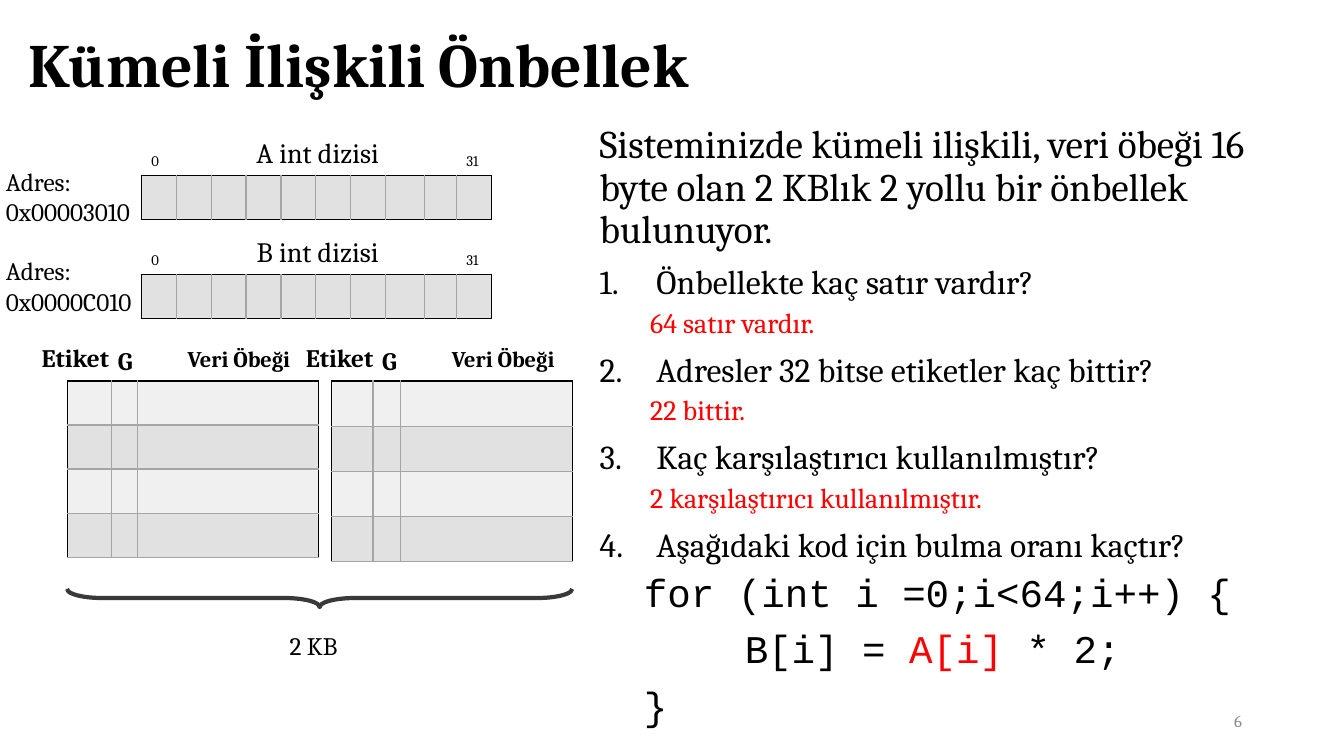
from dataclasses import dataclass

from lxml.etree import SubElement
from pptx import Presentation
from pptx.dml.color import RGBColor
from pptx.enum.shapes import MSO_SHAPE
from pptx.enum.text import MSO_ANCHOR, MSO_AUTO_SIZE, PP_ALIGN
from pptx.oxml.ns import qn
from pptx.util import Cm, Pt


@dataclass(frozen=True)
class Theme:
    font: str = "Cambria"
    code_font: str = "Courier New"
    ink: str = "000000"
    answer: str = "FF0000"
    muted: str = "8C8C8C"
    grid: str = "A5A5A5"
    brace: str = "3B3838"
    paper: str = "FFFFFF"
    light_row: str = "F0F0F0"
    dark_row: str = "E1E1E1"
    title: float = 44
    lead: float = 28
    question: float = 24
    answer_size: float = 20
    label: float = 18
    small_label: float = 16
    page: float = 12
    index: float = 10.5


THEME = Theme()
ARRAY_COLUMNS = [0.88] * 7 + [0.97, 0.81, 0.88]
QUESTIONS = [
    ("Önbellekte kaç satır vardır?", "64 satır vardır."),
    ("Adresler 32 bitse etiketler kaç bittir?", "22 bittir."),
    ("Kaç karşılaştırıcı kullanılmıştır?", "2 karşılaştırıcı kullanılmıştır."),
    ("Aşağıdaki kod için bulma oranı kaçtır?", None),
]


def color(name):
    return RGBColor.from_string(name)


def style(paragraph, size, ink=THEME.ink, bold=False, font=THEME.font, align=PP_ALIGN.LEFT):
    paragraph.alignment = align
    paragraph.font.name = font
    paragraph.font.size = Pt(size)
    paragraph.font.bold = bold
    paragraph.font.color.rgb = color(ink)


def place(shape, box):
    shape.left, shape.top, shape.width, shape.height = map(Cm, box)


def add_label(slide, box, text, size, **look):
    shape = slide.shapes.add_textbox(*map(Cm, box))
    frame = shape.text_frame
    frame.word_wrap = True
    frame.text = text
    style(frame.paragraphs[0], size, **look)
    return frame


def add_grid(slide, left, top, columns, rows, row_height):
    frame = slide.shapes.add_table(rows, len(columns), Cm(left), Cm(top),
                                   Cm(sum(columns)), Cm(row_height * rows))
    table = frame.table
    table.first_row = table.horz_banding = False
    for column, width in zip(table.columns, columns):
        column.width = Cm(width)
    return table


def paint_cell(cell, fill, **borders):
    """Borders are given as L, R, T, B colours; they precede the fill."""
    properties = cell._tc.get_or_add_tcPr()
    for side in "LRTB":
        if side in borders:
            line = SubElement(properties, qn(f"a:ln{side}"), w=str(Pt(1)))
            solid = SubElement(line, qn("a:solidFill"))
            SubElement(solid, qn("a:srgbClr"), val=borders[side])
    cell.fill.solid()
    cell.fill.fore_color.rgb = color(fill)


def side_borders(column, count):
    return {"L": THEME.ink if column == 0 else THEME.grid,
            "R": THEME.ink if column == count - 1 else THEME.grid}


# Title
def draw_title(slide, box):
    title = slide.shapes.title
    place(title, box)
    frame = title.text_frame
    frame.text = "Kümeli İlişkili Önbellek"
    frame.auto_size = MSO_AUTO_SIZE.NONE
    frame.vertical_anchor = MSO_ANCHOR.MIDDLE
    frame.paragraphs[0].line_spacing = 0.9
    style(frame.paragraphs[0], THEME.title, bold=True)


# Questions with answers
def add_body_line(paragraph, text, size, before, margin=0, hanging=0, ink=THEME.ink):
    paragraph.text = text
    properties = paragraph._p.get_or_add_pPr()
    properties.set("marL", str(Cm(margin)))
    properties.set("indent", str(-Cm(hanging)))
    if hanging:
        SubElement(properties, qn("a:buFont"), typeface="+mj-lt")
        SubElement(properties, qn("a:buAutoNum"), type="arabicPeriod")
    else:
        SubElement(properties, qn("a:buNone"))
    paragraph.line_spacing = 0.9
    paragraph.space_before = Pt(before)
    style(paragraph, size, ink)


def draw_questions(slide, box):
    body = slide.placeholders[1]
    place(body, box)
    frame = body.text_frame
    frame.auto_size = MSO_AUTO_SIZE.NONE
    add_body_line(frame.paragraphs[0], "Sisteminizde kümeli ilişkili, veri öbeği 16 byte olan "
                  "2 KBlık 2 yollu bir önbellek bulunuyor.", THEME.lead, 0)
    for question, answer in QUESTIONS:
        add_body_line(frame.add_paragraph(), question, THEME.question, 10, 1.43, 1.43)
        if answer:
            paragraph = frame.add_paragraph()
            paragraph.level = 1
            add_body_line(paragraph, answer, THEME.answer_size, 5, 1.27, ink=THEME.answer)


# Array strip with its address
def draw_array(slide, left, top, name, address, address_drop):
    table = add_grid(slide, left, top, ARRAY_COLUMNS, 2, 1.12)
    count = len(ARRAY_COLUMNS)
    for column in range(count):
        paint_cell(table.cell(0, column), THEME.paper, B=THEME.ink)
        paint_cell(table.cell(1, column), THEME.dark_row, T=THEME.ink, B=THEME.ink,
                   **side_borders(column, count))
    table.cell(0, 2).merge(table.cell(0, 7))
    for column, text, size, align in [
        (0, "0", THEME.index, PP_ALIGN.LEFT),
        (2, f"{name} int dizisi", THEME.answer_size, PP_ALIGN.CENTER),
        (count - 1, "31", THEME.index, PP_ALIGN.LEFT),
    ]:
        cell = table.cell(0, column)
        cell.text = text
        cell.vertical_anchor = MSO_ANCHOR.BOTTOM
        style(cell.text_frame.paragraphs[0], size, align=align)
    add_label(slide, (left - 3.66, top + address_drop, 4.06, 1.8),
              f"Adres: {address}", THEME.label)


# One way of the cache with its column headings
def draw_cache_way(slide, left, top, columns, row_height):
    table = add_grid(slide, left, top, columns, 4, row_height)
    for row in range(4):
        for column in range(len(columns)):
            paint_cell(table.cell(row, column), THEME.dark_row if row % 2 else THEME.light_row,
                       T=THEME.grid if row else THEME.ink, B=THEME.grid,
                       **side_borders(column, len(columns)))
    add_label(slide, (left - 0.9, top - 1.09, 3.5, 1.02), "Etiket", THEME.label, bold=True)
    add_label(slide, (left + 1.02, top - 1.02, 2.46, 1.02), "G", THEME.label, bold=True)
    add_label(slide, (left + 2.29, top - 1.04, 4.06, 0.94), "Veri Öbeği",
              THEME.small_label, bold=True, align=PP_ALIGN.CENTER)


# Brace below both ways: a tall shape turned on its side within the box
def draw_capacity(slide, left, top, width, height):
    center_x, center_y = left + width / 2, top + height / 2
    brace = slide.shapes.add_shape(
        MSO_SHAPE.RIGHT_BRACE, Cm(center_x - height / 2), Cm(center_y - width / 2),
        Cm(height), Cm(width))
    brace.rotation = 90
    brace.adjustments[0] = 1.91
    brace.shadow.inherit = False
    brace.fill.background()
    brace.line.color.rgb = color(THEME.brace)
    brace.line.width = Pt(3)
    add_label(slide, (center_x - 1.35, top + 0.91, 2.39, 1.02), "2 KB", THEME.label,
              align=PP_ALIGN.CENTER)


# Code sample
def draw_code(slide, box):
    lines = [[("for (int i =0;i<64;i++) {", THEME.ink)],
             [("\tB[i] = ", THEME.ink), ("A[i]", THEME.answer), (" * 2;", THEME.ink)],
             [("}", THEME.ink)]]
    shape = slide.shapes.add_textbox(*map(Cm, box))
    frame = shape.text_frame
    frame.word_wrap = True
    for number, pieces in enumerate(lines):
        paragraph = frame.add_paragraph() if number else frame.paragraphs[0]
        tabs = SubElement(paragraph._p.get_or_add_pPr(), qn("a:tabLst"))
        SubElement(tabs, qn("a:tab"), pos=str(Cm(2.54)), algn="l")
        paragraph.line_spacing = 0.9
        paragraph.space_before = Pt(10 if number else 0)
        style(paragraph, THEME.lead, font=THEME.code_font)
        for text, ink in pieces:
            run = paragraph.add_run()
            run.text = text
            if ink != THEME.ink:
                run.font.color.rgb = color(ink)


def draw_page_number(slide, box):
    frame = add_label(slide, box, "6", THEME.page, ink=THEME.muted, align=PP_ALIGN.RIGHT)
    frame.vertical_anchor = MSO_ANCHOR.MIDDLE


def main():
    presentation = Presentation()
    presentation.slide_width, presentation.slide_height = Cm(33.87), Cm(19.05)
    slide = presentation.slides.add_slide(presentation.slide_layouts[1])
    draw_title(slide, (0.46, 0.38, 32.66, 2.64))
    draw_questions(slide, (14.86, 3.02, 18.24, 14.15))
    draw_array(slide, 3.56, 3.3, "A", "0x00003010", 0.76)
    draw_array(slide, 3.56, 5.79, "B", "0x0000C010", 0.53)
    draw_cache_way(slide, 1.7, 9.6, [1.1, 0.66, 4.56], 1.11)
    draw_cache_way(slide, 8.36, 9.6, [1.04, 0.69, 4.34], 1.14)
    draw_capacity(slide, 1.69, 14.84, 12.73, 0.46)
    draw_code(slide, (15.98, 14.33, 16.33, 4.42))
    draw_page_number(slide, (23.93, 17.65, 7.62, 1.02))
    presentation.save("out.pptx")


if __name__ == "__main__":
    main()
